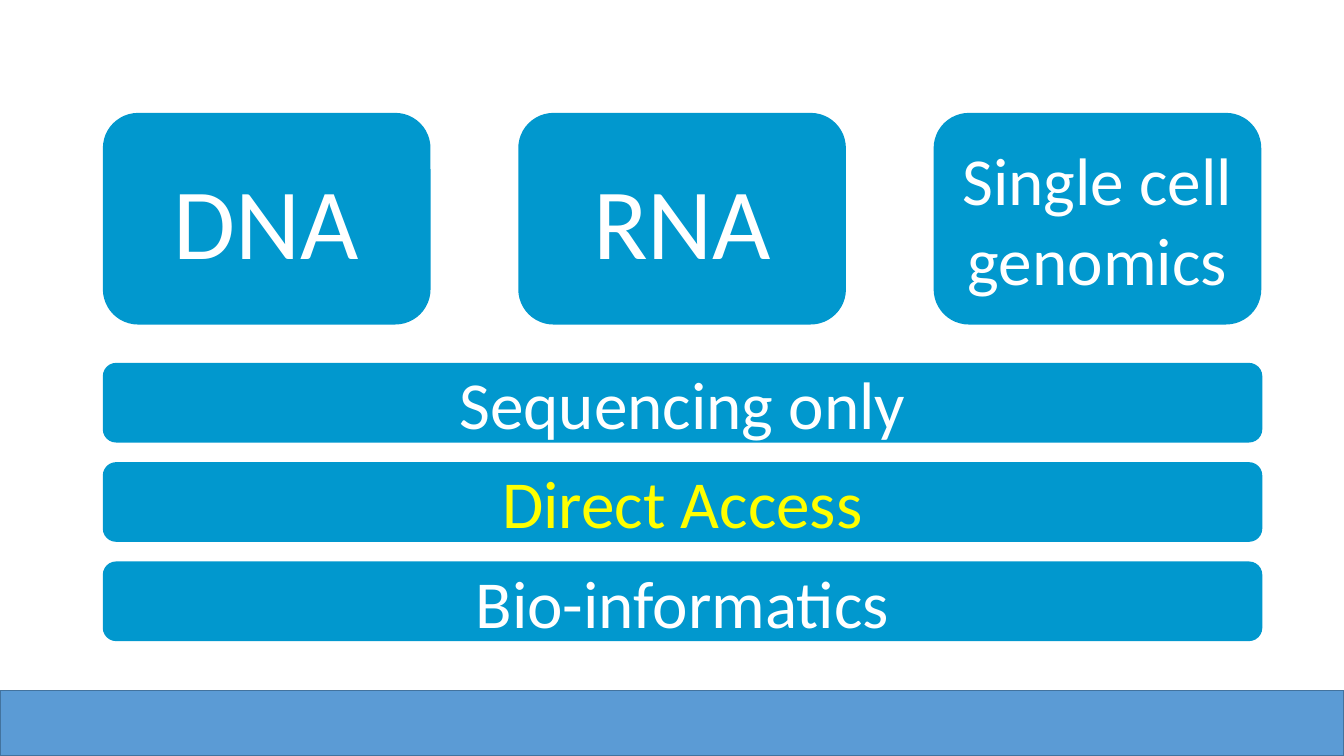
from pptx import Presentation
from pptx.dml.color import RGBColor
from pptx.enum.shapes import MSO_SHAPE
from pptx.enum.text import MSO_ANCHOR, PP_ALIGN
from pptx.util import Inches, Pt

RECTANGLE = MSO_SHAPE.RECTANGLE
ROUNDED = MSO_SHAPE.ROUNDED_RECTANGLE
MIDDLE = MSO_ANCHOR.MIDDLE
CENTER = PP_ALIGN.CENTER

WHITE, YELLOW, BLUE = "FFFFFF", "FFFF00", "0198CE"
LEFT = 1.02


def color(hex_code):
    return RGBColor.from_string(hex_code)


def add_service(label, left, top, width, height, size, text_color=WHITE):
    service = slide.shapes.add_shape(
        ROUNDED, Inches(left), Inches(top), Inches(width), Inches(height))
    service.shadow.inherit = False
    service.fill.solid()
    service.fill.fore_color.rgb = color(BLUE)
    service.line.fill.background()
    frame = service.text_frame
    frame.text = label
    frame.word_wrap = True
    frame.vertical_anchor = MIDDLE
    paragraph = frame.paragraphs[0]
    paragraph.alignment = CENTER
    font = paragraph.runs[0].font
    font.name = "Calibri"
    font.size = Pt(size)
    font.color.rgb = color(text_color)


prs = Presentation()
prs.slide_width = Inches(13.33)
prs.slide_height = Inches(7.5)
slide = prs.slides.add_slide(prs.slide_layouts[6])

# Footer band
footer = slide.shapes.add_shape(
    RECTANGLE, 0, Inches(6.85), prs.slide_width, Inches(0.65))
footer.shadow.inherit = False
footer.fill.solid()
footer.fill.fore_color.rgb = color("5B9BD5")
footer.line.color.rgb = color("43739E")
footer.line.width = Pt(1)

# Row of sample types
samples = [("DNA", 72), ("RNA", 72), ("Single cell genomics", 48)]
for column, (label, size) in enumerate(samples):
    add_service(label, LEFT + column * 4.12, 1.12, 3.25, 2.1, size)

# Stack of full-width services
services = [("Sequencing only", WHITE), ("Direct Access", YELLOW),
            ("Bio-informatics", WHITE)]
for row, (label, text_color) in enumerate(services):
    add_service(label, LEFT, 3.6 + row * 0.985, 11.5, 0.79, 48, text_color)

prs.save("out.pptx")
